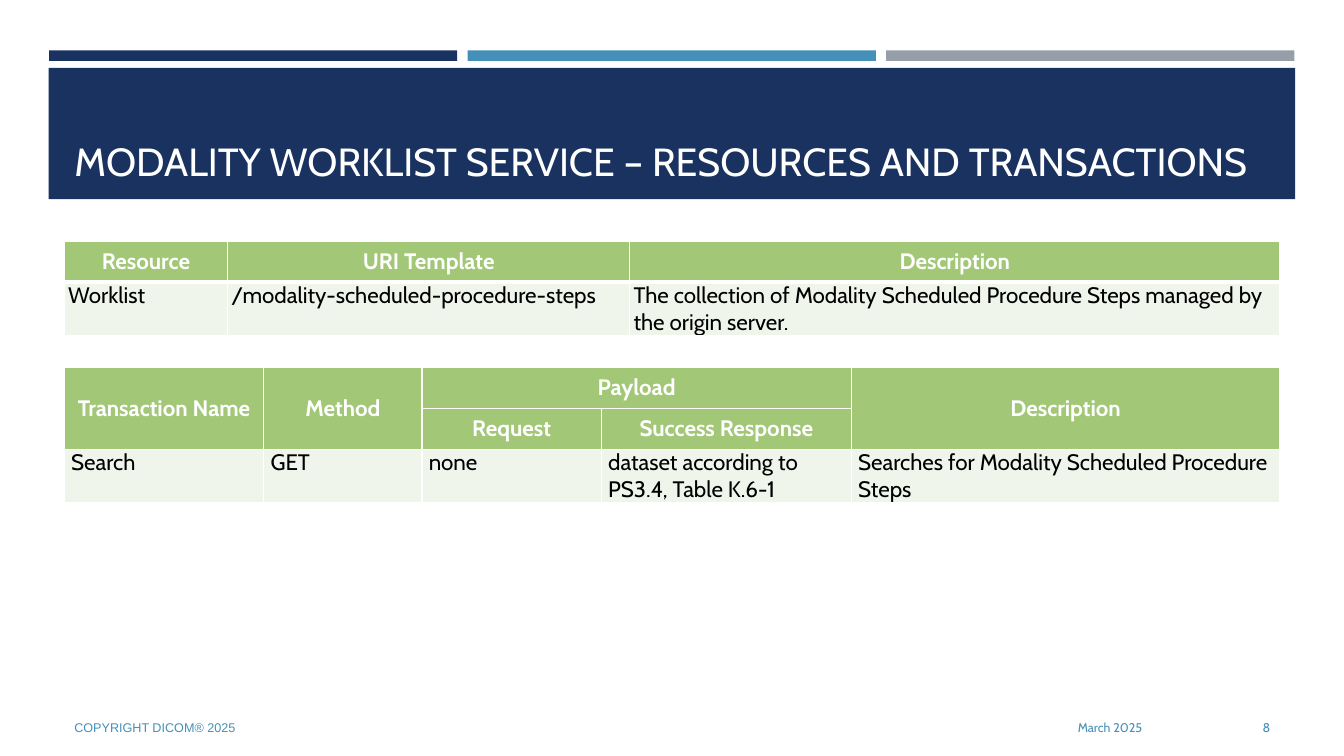
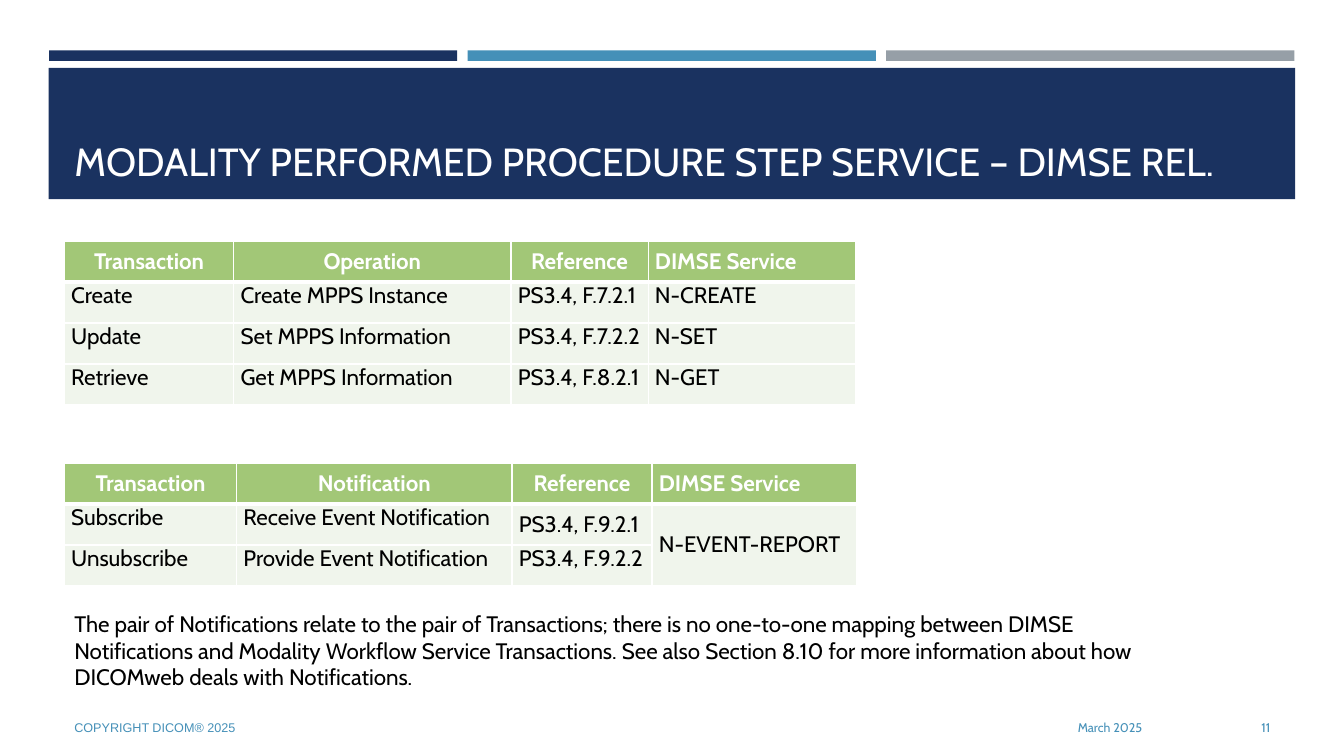
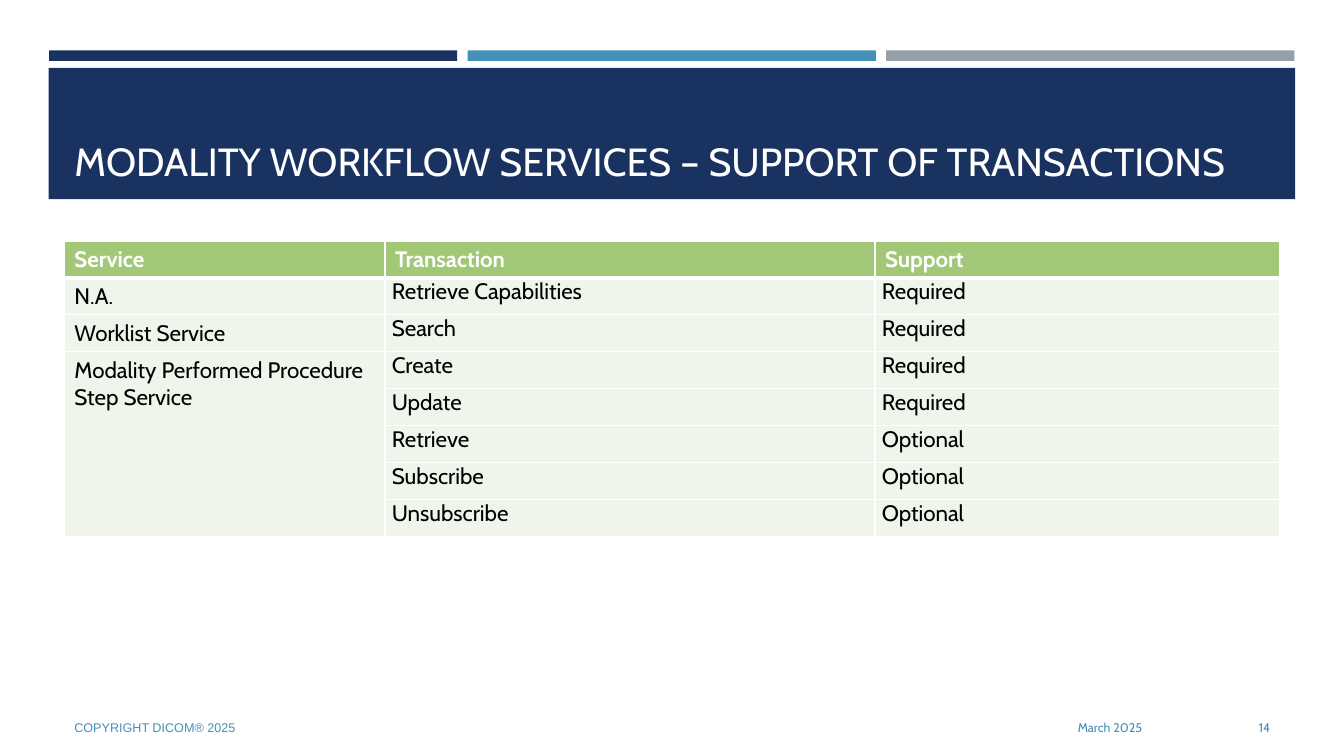
from itertools import product

from lxml.etree import SubElement
from pptx import Presentation
from pptx.dml.color import RGBColor
from pptx.enum.shapes import MSO_SHAPE
from pptx.enum.text import MSO_ANCHOR, MSO_AUTO_SIZE, PP_ALIGN
from pptx.oxml import parse_xml
from pptx.oxml.ns import nsdecls, qn
from pptx.util import Pt

COLORS = {"navy": "1A3260", "blue": "4590B8", "gray": "969FA7", "green": "A2C777",
          "mint": "F0F5EC", "white": "FFFFFF", "black": "000000"}
LEFT, WIDTH = 46, 868.3
TABLE_TOP = 172.1
ROW = 29.3


def rgb(name):
    """Return the named colour."""
    return RGBColor.from_string(COLORS[name])


def write(frame, text, size=16, font="Cabin", color="black", bold=False,
          align=PP_ALIGN.LEFT, anchor=MSO_ANCHOR.TOP, spacing=0):
    """Put one formatted paragraph into a text frame or table cell."""
    frame.vertical_anchor = anchor
    body = getattr(frame, "text_frame", frame)
    body.word_wrap = True
    paragraph = body.paragraphs[0]
    paragraph.alignment = align
    paragraph.space_before = paragraph.space_after = Pt(spacing)
    run = paragraph.add_run()
    run.text = text
    run.font.size, run.font.name, run.font.bold = Pt(size), font, bold
    run.font.color.rgb = rgb(color)


class Deck:
    """Hold the shared style and the current slide."""

    def __init__(self):
        """Start a widescreen presentation."""
        self.presentation = Presentation()
        self.presentation.slide_width, self.presentation.slide_height = Pt(960), Pt(540)
        self.shapes = None

    def slide(self, title, number):
        """Add a slide with its bands, title and footer."""
        layout = self.presentation.slide_layouts[5]
        self.shapes = self.presentation.slides.add_slide(layout).shapes
        for index, color in enumerate(("navy", "blue", "gray")):
            self.band(35 + 299 * index, 36, 291.6, 7.5, color)
        self.band(34.8, 48.5, 890.4, 93.8, "navy")
        heading = self.shapes.title
        self.shapes.element.append(heading.element)
        heading.left, heading.top = Pt(LEFT), Pt(55.4)
        heading.width, heading.height = Pt(WIDTH), Pt(80)
        heading.text_frame.auto_size = MSO_AUTO_SIZE.NONE
        write(heading.text_frame, title, size=28, color="white", anchor=MSO_ANCHOR.BOTTOM)
        footer = {"size": 9, "color": "blue", "anchor": MSO_ANCHOR.MIDDLE}
        self.text("March 2025", 599, 505.4, 224, 28.8, align=PP_ALIGN.RIGHT, **footer)
        self.text("COPYRIGHT DICOM® 2025", LEFT, 505.4, 544.3, 28.8, font="Arial", **footer)
        self.text(str(number), 831.6, 505.4, 82.8, 28.8, align=PP_ALIGN.RIGHT, **footer)

    def band(self, left, top, width, height, color):
        """Draw a plain filled rectangle."""
        band = self.shapes.add_shape(MSO_SHAPE.RECTANGLE, Pt(left), Pt(top), Pt(width), Pt(height))
        band.shadow.inherit = False
        band.fill.solid()
        band.fill.fore_color.rgb = rgb(color)
        band.line.fill.background()

    def text(self, text, left, top, width, height, **style):
        """Add a text box."""
        box = self.shapes.add_textbox(Pt(left), Pt(top), Pt(width), Pt(height))
        write(box.text_frame, text, **style)

    def borders(self, cell, bottom):
        """Give a cell white borders."""
        properties = cell._tc.get_or_add_tcPr()
        for index, (side, width) in enumerate((("L", 1), ("R", 1), ("T", 1), ("B", bottom))):
            line = parse_xml(f'<a:ln{side} {nsdecls("a")} w="{Pt(width)}"/>')
            fill = SubElement(line, qn("a:solidFill"))
            SubElement(fill, qn("a:srgbClr"), val=COLORS["white"])
            properties.insert(index, line)

    def table(self, top, widths, heights, rows, merges=(), header_rows=1, header_rule=3,
              inset=4.9, left_headers=(), middle=(), roomy=()):
        """Add a table with green header rows and pale body rows."""
        grid = self.shapes.add_table(len(rows), len(widths), Pt(LEFT), Pt(top),
                                     Pt(sum(widths)), Pt(sum(heights))).table
        grid.first_row = grid.horz_banding = False
        for column, width in zip(grid.columns, widths):
            column.width = Pt(width)
        for row, height in zip(grid.rows, heights):
            row.height = Pt(height)
        for first, last in merges:
            grid.cell(*first).merge(grid.cell(*last))
        for r, c in product(range(len(rows)), range(len(widths))):
            cell, header, loose = grid.cell(r, c), r < header_rows, (r, c) in roomy
            cell.fill.solid()
            cell.fill.fore_color.rgb = rgb("green" if header else "mint")
            cell.margin_left = cell.margin_right = Pt(7.2 if loose else inset)
            cell.margin_top = cell.margin_bottom = Pt(3.6 if loose else 0)
            self.borders(cell, header_rule if header else 1)
            if cell.is_spanned:
                continue
            centered = header and not loose and c not in left_headers
            centered_down = (header and not loose) or (r, c) in middle
            write(cell, rows[r][c], bold=header, color="white" if header else "black",
                  align=PP_ALIGN.CENTER if centered else PP_ALIGN.LEFT,
                  anchor=MSO_ANCHOR.MIDDLE if centered_down else MSO_ANCHOR.TOP,
                  spacing=0 if loose else 2)


def main():
    """Build the three slides and save them."""
    deck = Deck()

    deck.slide("MODALITY WORKLIST SERVICE – RESOURCES AND TRANSACTIONS", 8)
    deck.table(TABLE_TOP, (116.6, 287.3, 464.4), (ROW, 38.4), (
        ("Resource", "URI Template", "Description"),
        ("Worklist", "/modality-scheduled-procedure-steps",
         "The collection of Modality Scheduled Procedure Steps managed by the origin server."),
    ), inset=2.7)
    deck.table(262.3, (142.4, 113, 128.2, 178.6, 306.1), (ROW, ROW, 38.4), (
        ("Transaction Name", "Method", "Payload", "", "Description"),
        ("", "", "Request", "Success Response", ""),
        ("Search", "GET", "none", "dataset according to PS3.4, Table K.6-1",
         "Searches for Modality Scheduled Procedure Steps"),
    ), merges=(((0, 0), (1, 0)), ((0, 1), (1, 1)), ((0, 2), (0, 3)), ((0, 4), (1, 4))),
        header_rows=2, header_rule=1)

    deck.slide("MODALITY PERFORMED PROCEDURE STEP SERVICE – DIMSE REL.", 11)
    deck.table(TABLE_TOP, (121, 198, 98, 148.2), (ROW,) * 4, (
        ("Transaction", "Operation", "Reference", "DIMSE Service"),
        ("Create", "Create MPPS Instance", "PS3.4, F.7.2.1", "N-CREATE"),
        ("Update", "Set MPPS Information", "PS3.4, F.7.2.2", "N-SET"),
        ("Retrieve", "Get MPPS Information", "PS3.4, F.8.2.1", "N-GET"),
    ), left_headers=(3,))
    deck.table(330.7, (123, 196.8, 100, 146), (ROW,) * 3, (
        ("Transaction", "Notification", "Reference", "DIMSE Service"),
        ("Subscribe", "Receive Event Notification", "PS3.4, F.9.2.1", "N-EVENT-REPORT"),
        ("Unsubscribe", "Provide Event Notification", "PS3.4, F.9.2.2", ""),
    ), merges=(((1, 3), (2, 3)),), left_headers=(3,), middle=((1, 2), (1, 3)))
    deck.text("The pair of Notifications relate to the pair of Transactions; there is no one-to-one "
              "mapping between DIMSE Notifications and Modality Workflow Service Transactions. "
              "See also Section 8.10 for more information about how DICOMweb deals with "
              "Notifications.", LEFT, 432, 802, 65.5)

    deck.slide("MODALITY WORKFLOW SERVICES – SUPPORT OF TRANSACTIONS", 14)
    deck.table(TABLE_TOP, (229, 350, 289.3), (26.4,) * 8, (
        ("Service", "Transaction", "Support"),
        ("N.A.", "Retrieve Capabilities", "Required"),
        ("Worklist Service", "Search", "Required"),
        ("Modality Performed Procedure Step Service", "Create", "Required"),
        ("", "Update", "Required"),
        ("", "Retrieve", "Optional"),
        ("", "Subscribe", "Optional"),
        ("", "Unsubscribe", "Optional"),
    ), merges=(((3, 0), (7, 0)),),
        roomy=((0, 0), (0, 1), (0, 2), (1, 0), (2, 0), (3, 0)))

    deck.presentation.save("out.pptx")


if __name__ == "__main__":
    main()
